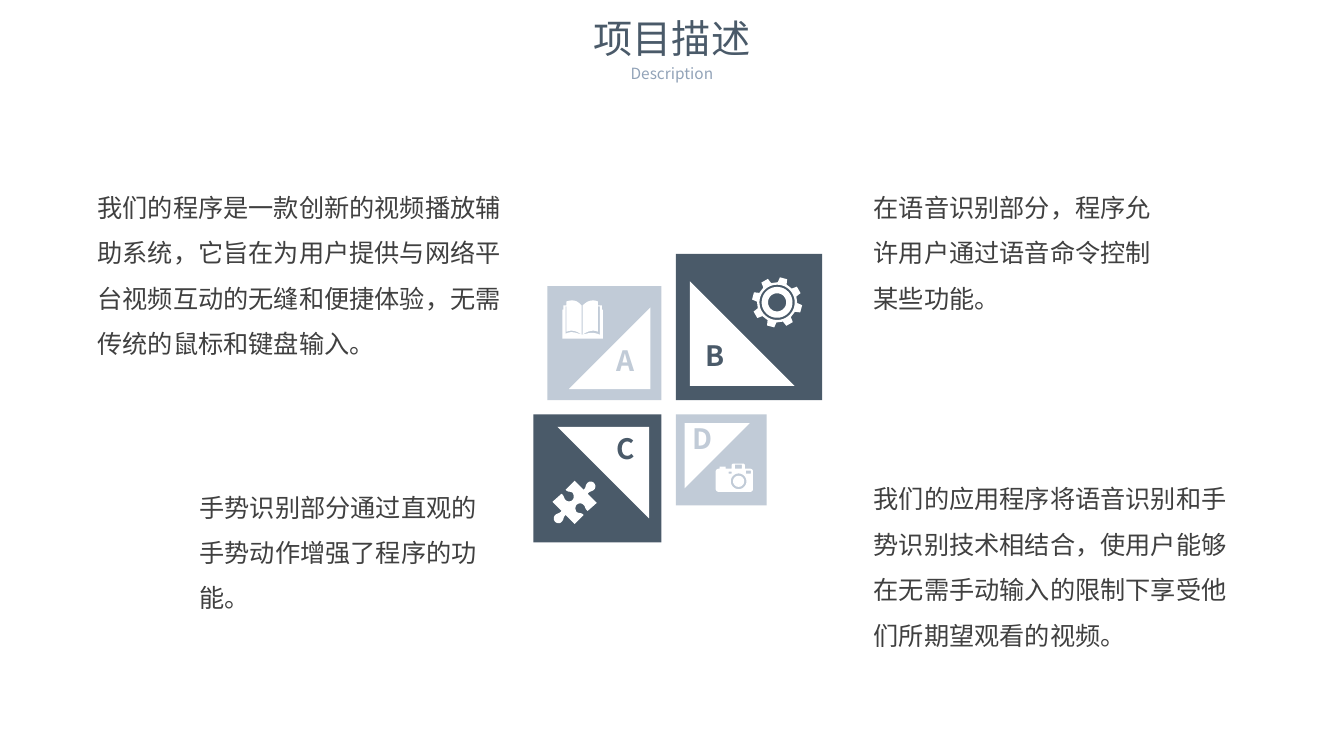
import math

from lxml import etree
from pptx import Presentation
from pptx.dml.color import RGBColor
from pptx.enum.shapes import MSO_SHAPE
from pptx.enum.text import MSO_ANCHOR, MSO_AUTO_SIZE, PP_ALIGN
from pptx.oxml.ns import qn
from pptx.util import Pt

RECT, TRIANGLE = MSO_SHAPE.RECTANGLE, MSO_SHAPE.RIGHT_TRIANGLE
TOP, NO_FIT = MSO_ANCHOR.TOP, MSO_AUTO_SIZE.NONE
LEFT, CENTER = PP_ALIGN.LEFT, PP_ALIGN.CENTER

FONT = "Noto Sans CJK SC"
SLATE = RGBColor(0x4A, 0x5A, 0x69)
MIST = RGBColor(0xC1, 0xCB, 0xD7)
STEEL = RGBColor(0x92, 0xA3, 0xB8)
GREY = RGBColor(0x40, 0x40, 0x40)
WHITE = RGBColor(0xFF, 0xFF, 0xFF)

# The four tiles meet around this point, each half a gap away from it.
CENTER_X, CENTER_Y, HALF_GAP = 477.6, 290.9, 5.1
TRIANGLE_SIDE, TRIANGLE_INSET = 0.715, 0.097  # shares of the tile side

# letter, colour, side, column, row, triangle rotation, letter left and top
TILES = [
    ("A", MIST, 81.5, -1, -1, 270, 428.4, 241.9),
    ("B", SLATE, 104.5, 1, -1, 0, 492.5, 238.3),
    ("D", MIST, 65, 1, 1, 90, 483.8, 297.4),
    ("C", SLATE, 91.5, -1, 1, 180, 428.4, 304.6),
]

PARAGRAPHS = [
    ((62.6, 123.1, 316, 138.2),
     "我们的程序是一款创新的视频播放辅助系统，它旨在为用户提供与网络平台视频互动的"
     "无缝和便捷体验，无需传统的鼠标和键盘输入。"),
    ((135.4, 337, 229.7, 105.1),
     "手势识别部分通过直观的手势动作增强了程序的功能。"),
    ((617, 123.1, 229.7, 69.8),
     "在语音识别部分，程序允许用户通过语音命令控制某些功能。"),
    ((617, 331.2, 282.2, 138.2),
     "我们的应用程序将语音识别和手势识别技术相结合，使用户能够在无需手动输入的"
     "限制下享受他们所期望观看的视频。"),
]

# Icon outlines: two numbers are a point, six are a curve. One unit is 0.72 pt.
BOOK = [
    (19, 34), (20, 34), (27, 32, 30, 31, 37, 34), (37, 6), (35, 6), (35, 31),
    (31, 29, 25, 30, 20, 34), (20, 5), (23, 2, 26, 0, 30, 0),
    (31, 0, 33, 0, 35, 1), (35, 5), (39, 5), (39, 9), (40, 9), (40, 38),
    (0, 38), (0, 9), (1, 9), (1, 5), (4, 5), (4, 1), (7, 0, 8, 0, 10, 0),
    (14, 0, 16, 2, 19, 5), (19, 34), (14, 30, 9, 29, 4, 31), (4, 6), (3, 6),
    (3, 33), (9, 30, 13, 32, 19, 34),
]
HALF_PUZZLE = [
    (41, 2), (43, 4, 43, 6, 42, 8), (40, 11, 37, 10, 35, 13), (44, 22),
    (35, 30), (32, 28, 33, 26, 31, 24), (29, 22, 26, 22, 24, 24),
    (23, 25, 22, 28, 24, 31), (27, 33, 28, 31, 31, 34), (22, 43), (13, 34),
    (10, 37, 12, 38, 9, 41), (7, 43, 4, 42, 3, 41),
]
CAMERA_BODY = [
    (17, 0), (28, 0), (29, 1), (29, 5), (34, 5), (36, 5, 37, 6, 37, 8),
    (37, 25), (37, 27, 36, 28, 34, 28), (3, 28), (2, 28, 0, 27, 0, 25),
    (0, 8), (0, 6, 2, 5, 3, 5), (4, 5), (4, 3), (10, 3), (10, 5), (16, 5),
    (16, 1),
]


def flatten(outline, steps=8):
    """Turn points and Bezier curves into a list of points."""
    points = []
    for item in outline:
        if len(item) == 2:
            points.append(item)
            continue
        nodes = [points[-1], item[:2], item[2:4], item[4:]]
        for step in range(1, steps + 1):
            t = step / steps
            weights = [math.comb(3, k) * t**k * (1 - t)**(3 - k) for k in range(4)]
            points.append(tuple(sum(w * node[axis] for w, node in zip(weights, nodes))
                                for axis in (0, 1)))
    return points


def polar(cx, cy, radius, degrees):
    angle = math.radians(degrees)
    return cx + radius * math.sin(angle), cy - radius * math.cos(angle)


def circle(cx, cy, radius):
    return [polar(cx, cy, radius, degrees) for degrees in range(0, 360, 8)]


def box(left, top, right, bottom):
    return [(left, top), (right, top), (right, bottom), (left, bottom)]


def gear():
    """Eight teeth around a ring and a hub."""
    teeth = [polar(25, 25, radius, 15 + 45 * tooth + turn)
             for tooth in range(8)
             for turn, radius in ((-13, 20), (-8.5, 25), (8.5, 25), (13, 20))]
    return [teeth] + [circle(25, 25, radius) for radius in (17.5, 15.3, 9)]


def puzzle():
    half = flatten(HALF_PUZZLE)
    return [half + [(44 - x, 43 - y) for x, y in half]]


def camera():
    return [flatten(CAMERA_BODY), box(13, 8, 16, 10), box(30, 7, 35, 10),
            box(19, 1, 26, 5), circle(22.8, 17.5, 7.8), circle(22.8, 17.5, 5.5)]


def paint(sp, color):
    sp.shadow.inherit = False
    sp.fill.solid()
    sp.fill.fore_color.rgb = color
    sp.line.fill.background()


def add_icon(slide, left, top, contours):
    scaled = [[(x * 72, y * 72) for x, y in contour] for contour in contours]
    builder = slide.shapes.build_freeform(*scaled[0][0], scale=Pt(0.01))
    builder.add_line_segments(scaled[0][1:], close=True)
    for contour in scaled[1:]:
        builder.move_to(*contour[0])
        builder.add_line_segments(contour[1:], close=True)
    paint(builder.convert_to_shape(Pt(left), Pt(top)), WHITE)


def add_tile(slide, color, side, column, row, rotation):
    """Add a square and the triangle set near its inner corner."""
    group = slide.shapes.add_group_shape()

    def add_part(kind, size, gap, fill):
        x = CENTER_X + column * (gap + size / 2) - size / 2
        y = CENTER_Y + row * (gap + size / 2) - size / 2
        sp = group.shapes.add_shape(kind, Pt(x), Pt(y), Pt(size), Pt(size))
        paint(sp, fill)
        return sp

    add_part(RECT, side, HALF_GAP, color)
    triangle = add_part(TRIANGLE, side * TRIANGLE_SIDE,
                        HALF_GAP + side * TRIANGLE_INSET, WHITE)
    triangle.rotation = rotation


def write(sp, text, size, color, bold=False, align=CENTER, spacing=1.0):
    tf = sp.text_frame
    frame_format = {"word_wrap": True, "auto_size": NO_FIT, "vertical_anchor": TOP}
    for name, value in frame_format.items():
        setattr(tf, name, value)
    p = tf.paragraphs[0]
    paragraph_format = {"alignment": align, "line_spacing": spacing, "space_before": Pt(0)}
    for name, value in paragraph_format.items():
        setattr(p, name, value)
    r = p.add_run()
    r.text = text
    for name, value in {"name": FONT, "size": Pt(size), "bold": bold}.items():
        setattr(r.font, name, value)
    r.font.color.rgb = color
    etree.SubElement(r.font._element, qn("a:ea"), typeface=FONT)


def add_text(slide, place, text, size, color, **options):
    sp = slide.shapes.add_textbox(*map(Pt, place))
    write(sp, text, size, color, **options)


def fill_placeholder(sp, place, text, size, color):
    for name, value in zip(("left", "top", "width", "height"), place):
        setattr(sp, name, Pt(value))
    write(sp, text, size, color)


def main():
    prs = Presentation()
    prs.slide_width, prs.slide_height = Pt(960), Pt(540)
    slide = prs.slides.add_slide(prs.slide_layouts[0])
    fill_placeholder(slide.shapes.title, (352, 6.5, 256, 41), "项目描述", 28, SLATE)
    fill_placeholder(slide.placeholders[1], (352, 42.5, 256, 20), "Description", 11, STEEL)

    for letter, color, side, column, row, rotation, left, top in TILES:
        add_tile(slide, color, side, column, row, rotation)
        add_text(slide, (left, top, 36.7, 31.7), letter, 20, color, bold=True)

    add_icon(slide, 401.8, 214.6, [flatten(BOOK)])
    add_icon(slide, 394.6, 343.4, puzzle())
    add_icon(slide, 537.1, 198, gear())
    add_icon(slide, 511.2, 331.2, camera())

    for place, text in PARAGRAPHS:
        add_text(slide, place, text, 18, GREY, align=LEFT, spacing=1.5)
    prs.save("out.pptx")


if __name__ == "__main__":
    main()
